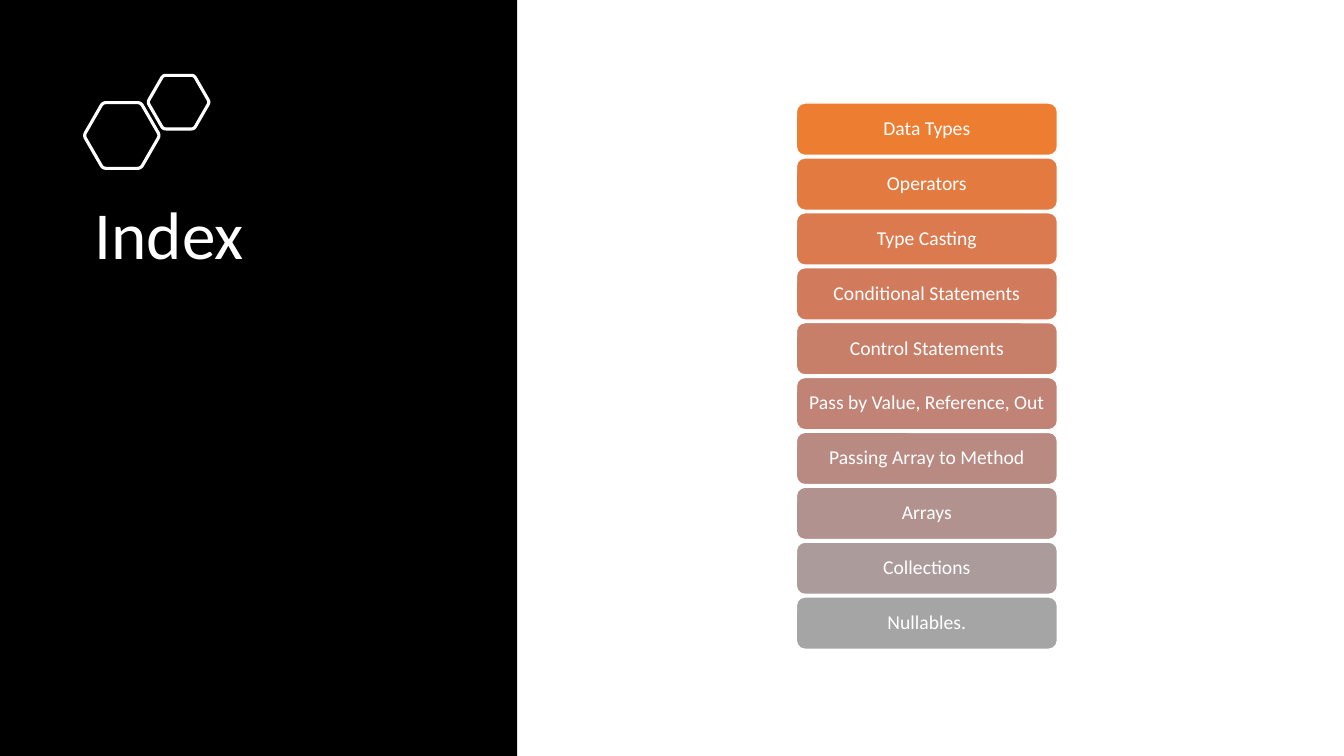
from math import cos, pi, sin

from pptx import Presentation
from pptx.dml.color import RGBColor
from pptx.enum.shapes import MSO_SHAPE
from pptx.enum.text import MSO_ANCHOR, PP_ALIGN
from pptx.util import Pt

TOPICS = [
    ("Data Types", "ED7D31"),
    ("Operators", "E37A40"),
    ("Type Casting", "DA7A4E"),
    ("Conditional Statements", "D17B5C"),
    ("Control Statements", "C87F69"),
    ("Pass by Value, Reference, Out", "C08376"),
    ("Passing Array to Method", "B98A82"),
    ("Arrays", "B2928E"),
    ("Collections", "AB9B9A"),
    ("Nullables.", "A5A5A5"),
]


def color(hex_string):
    return RGBColor.from_string(hex_string)


def write_text(shape, text, size, font="Calibri", ink="FFFFFF", align=PP_ALIGN.LEFT,
               anchor=MSO_ANCHOR.TOP, inset=(7.2, 3.6)):
    frame = shape.text_frame
    frame.word_wrap = True
    frame.vertical_anchor = anchor
    frame.margin_left = frame.margin_right = Pt(inset[0])
    frame.margin_top = frame.margin_bottom = Pt(inset[1])
    paragraph = frame.paragraphs[0]
    paragraph.alignment = align
    paragraph.line_spacing = 0.9
    run = paragraph.add_run()
    run.text = text
    run.font.name = font
    run.font.size = Pt(size)
    run.font.color.rgb = color(ink)


def rounded_hexagon(center_x, center_y, radius, cut=0.09, steps=6):
    """Outline points of a flat-topped hexagon with softened corners."""
    corners = [(center_x + radius * cos(k * pi / 3), center_y + radius * sin(k * pi / 3))
               for k in range(6)]
    points = []
    for k, corner in enumerate(corners):
        before, after = corners[k - 1], corners[(k + 1) % 6]
        for step in range(steps + 1):
            t = step / steps
            pull_back, pull_on = cut * (1 - t) ** 2, cut * t ** 2
            points.append(tuple(
                Pt(c + pull_back * (b - c) + pull_on * (a - c))
                for b, c, a in zip(before, corner, after)))
    return points


class IndexSlide:
    line_color = "FFFFFF"

    def __init__(self, presentation):
        self.slide = presentation.slides.add_slide(presentation.slide_layouts[6])

    def style(self, shape, fill=None, line_width=None):
        shape.shadow.inherit = False
        if fill:
            shape.fill.solid()
            shape.fill.fore_color.rgb = color(fill)
        else:
            shape.fill.background()
        if line_width:
            shape.line.color.rgb = color(self.line_color)
            shape.line.width = Pt(line_width)
        else:
            shape.line.fill.background()
        return shape

    def box(self, kind, left, top, width, height, fill, line_width=None):
        shape = self.slide.shapes.add_shape(kind, Pt(left), Pt(top), Pt(width), Pt(height))
        return self.style(shape, fill, line_width)

    def title(self, text, left, top, width, height):
        shape = self.slide.shapes.add_textbox(Pt(left), Pt(top), Pt(width), Pt(height))
        write_text(shape, text, 48)

    def hexagon(self, center_x, center_y, radius):
        start, *others = rounded_hexagon(center_x, center_y, radius)
        builder = self.slide.shapes.build_freeform(*start)
        builder.add_line_segments(others, close=True)
        self.style(builder.convert_to_shape(), line_width=2.25)

    def topic(self, text, fill, top):
        shape = self.box(MSO_SHAPE.ROUNDED_RECTANGLE, 568.8, top, 186.5, 37.4, fill, 1)
        write_text(shape, text, 14, align=PP_ALIGN.CENTER, anchor=MSO_ANCHOR.MIDDLE,
                   inset=(6, 4))


def main():
    presentation = Presentation()
    presentation.slide_width, presentation.slide_height = Pt(960), Pt(540)
    index = IndexSlide(presentation)

    # Dark panel with title and hexagons
    index.box(MSO_SHAPE.RECTANGLE, 0, 0, 369.4, 540, "000000")
    index.title("Index", 60.5, 140.4, 282.2, 252)
    index.hexagon(87, 96.8, 27.1)
    index.hexagon(127.6, 73, 22.1)

    # Stack of topics
    for row, (text, fill) in enumerate(TOPICS):
        index.topic(text, fill, 73.6 + row * 39.2)

    presentation.save("out.pptx")


if __name__ == "__main__":
    main()
